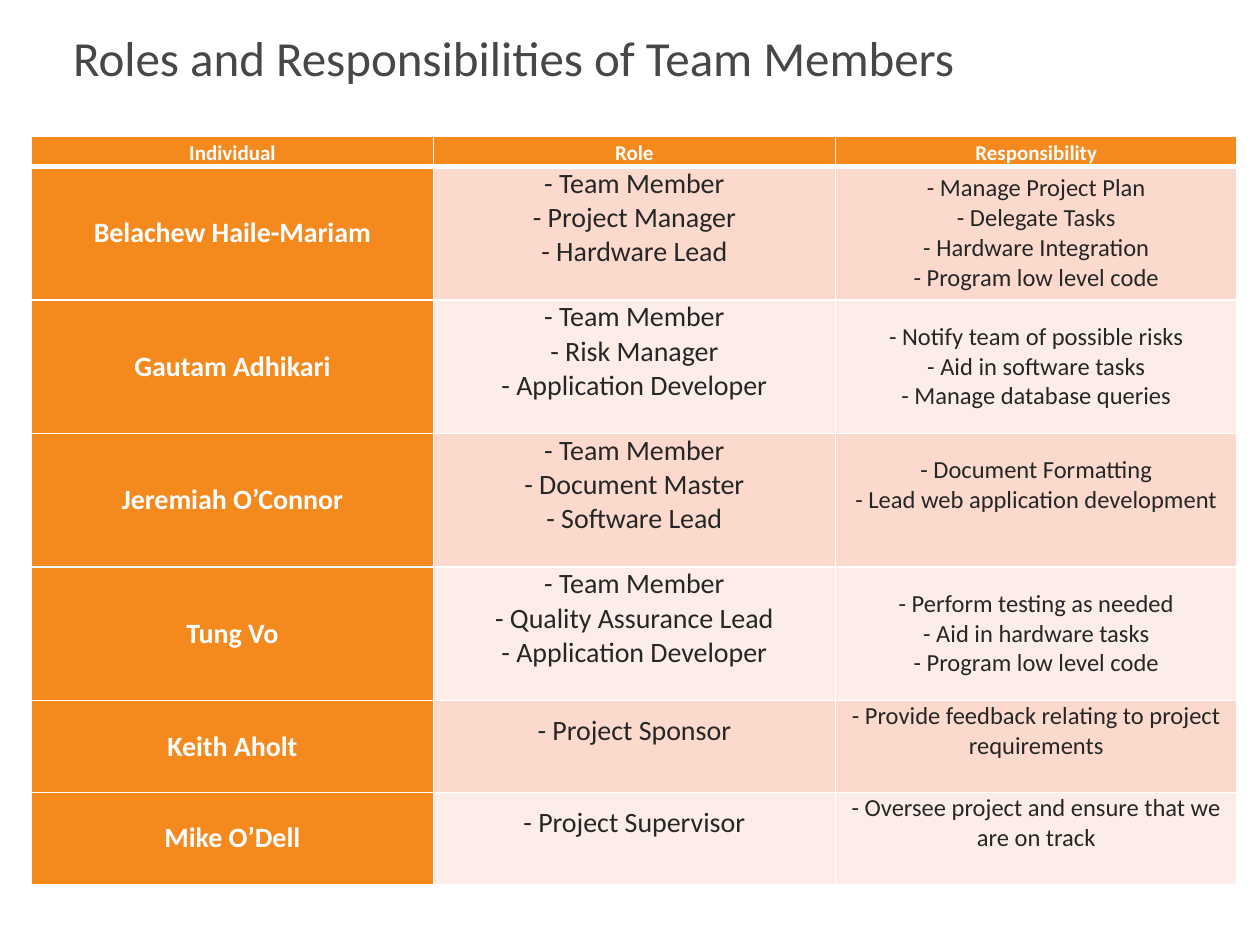
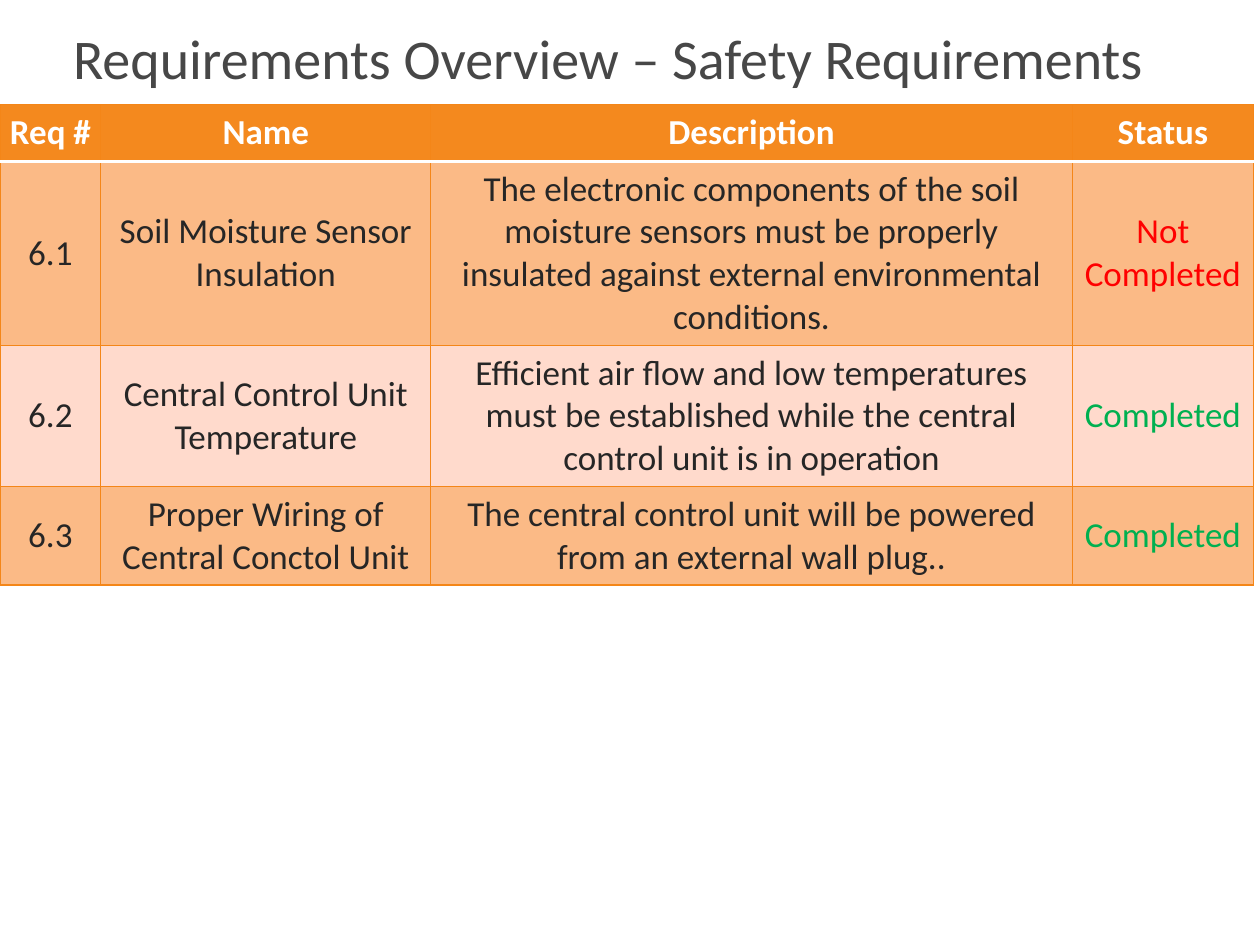
from lxml import etree
from pptx import Presentation
from pptx.dml.color import RGBColor
from pptx.enum.text import MSO_ANCHOR as Anchor, MSO_AUTO_SIZE as AutoSize, PP_ALIGN as Align
from pptx.oxml.ns import qn
from pptx.util import Inches, Pt

FONT = "Calibri"
WHITE = RGBColor(0xFF, 0xFF, 0xFF)
TITLE_GRAY = RGBColor(0x47, 0x47, 0x47)
INK = RGBColor(0x26, 0x26, 0x26)
ORANGE = RGBColor(0xF4, 0x89, 0x1E)
GRID_ORANGE = RGBColor(0xF4, 0x86, 0x18)
PEACH = RGBColor(0xFB, 0xDA, 0xCD)
PALE_PEACH = RGBColor(0xFD, 0xED, 0xE8)
APRICOT = RGBColor(0xFB, 0xBA, 0x86)
ROSE = RGBColor(0xFF, 0xDA, 0xCC)
RED = RGBColor(0xFF, 0x00, 0x00)
GREEN = RGBColor(0x00, 0xB0, 0x50)

ROLES_TITLE = "Roles and Responsibilities of Team Members"
ROLES_HEADER = ("Individual", "Role", "Responsibility")
MEMBERS = [
    ("Belachew Haile-Mariam",
     ["- Team Member", "- Project Manager", "- Hardware Lead"],
     ["- Manage Project Plan", "- Delegate Tasks", "- Hardware Integration",
      "- Program low level code"]),
    ("Gautam Adhikari",
     ["- Team Member", "- Risk Manager", "- Application Developer"],
     ["- Notify team of possible risks", "- Aid in software tasks",
      "- Manage database queries"]),
    ("Jeremiah O’Connor",
     ["- Team Member", "- Document Master", "- Software Lead"],
     ["- Document Formatting", "- Lead web application development"]),
    ("Tung Vo",
     ["- Team Member", "- Quality Assurance Lead", "- Application Developer"],
     ["- Perform testing as needed", "- Aid in hardware tasks",
      "- Program low level code"]),
    ("Keith Aholt",
     ["- Project Sponsor"],
     ["- Provide feedback relating to project requirements"]),
    ("Mike O’Dell",
     ["- Project Supervisor"],
     ["- Oversee project and ensure that we are on track"]),
]
RAISED_DUTIES = {"Jeremiah O’Connor", "Keith Aholt", "Mike O’Dell"}
RAISE = 0.24

SAFETY_TITLE = "Requirements Overview – Safety Requirements"
SAFETY_HEADER = ("Req #", "Name", "Description", "Status")
REQUIREMENTS = [
    ("6.1", "Soil Moisture Sensor Insulation",
     "The electronic components of the soil moisture sensors must be properly "
     "insulated against external environmental conditions.", "Not Completed"),
    ("6.2", "Central Control Unit Temperature",
     "Efficient air flow and low temperatures must be established while the "
     "central control unit is in operation", "Completed"),
    ("6.3", "Proper Wiring of Central Conctol Unit",
     "The central control unit will be powered from an external wall plug..",
     "Completed"),
]
STATUS_COLORS = {"Not Completed": RED, "Completed": GREEN}

TIGHT = (0.07, 0)
ROOMY = (0.1, 0.05)


def add_titled_slide(prs, title, size):
    slide = prs.slides.add_slide(prs.slide_layouts[5])
    heading = slide.shapes.title
    heading.left, heading.top = Inches(0.48), Inches(0.08)
    heading.width, heading.height = Inches(9.19), Inches(0.75)
    frame = heading.text_frame
    frame.auto_size = AutoSize.NONE
    frame.word_wrap = True
    frame.vertical_anchor = Anchor.MIDDLE
    frame.paragraphs[0].alignment = Align.LEFT
    add_run(frame.paragraphs[0], title, size, TITLE_GRAY)
    return slide


def add_run(paragraph, text, size, color, bold=False):
    run = paragraph.add_run()
    run.text = text
    font = run.font
    font.name, font.size, font.bold = FONT, Pt(size), bold
    font.color.rgb = color


def add_grid(slide, left, top, widths, heights, line, header_rule):
    grid = slide.shapes.add_table(
        len(heights), len(widths), Inches(left), Inches(top),
        Inches(sum(widths)), Inches(sum(heights))).table
    for column, width in zip(grid.columns, widths):
        column.width = Inches(width)
    for row, height in zip(grid.rows, heights):
        row.height = Inches(height)
    for r in range(len(heights)):
        for c in range(len(widths)):
            sides = dict.fromkeys(("lnL", "lnR", "lnT", "lnB"), line)
            if r < 2:
                sides["lnT" if r else "lnB"] = header_rule
            draw_borders(grid.cell(r, c), sides)
    return grid


def draw_borders(cell, sides):
    props = cell._tc.get_or_add_tcPr()
    for side, (color, width) in sides.items():
        border = etree.SubElement(props, qn(f"a:{side}"), w=str(Pt(width)))
        paint = etree.SubElement(border, qn("a:solidFill"))
        etree.SubElement(paint, qn("a:srgbClr"), val=str(color))


def fill_cell(cell, lines, size, color, fill, bold=False, inset=TIGHT, raise_by=0, spacing=None):
    cell.fill.solid()
    cell.fill.fore_color.rgb = fill
    cell.vertical_anchor = Anchor.MIDDLE
    side, edge = inset
    cell.margin_left = cell.margin_right = Inches(side)
    cell.margin_top, cell.margin_bottom = Inches(edge), Inches(edge + raise_by)
    paragraph = cell.text_frame.paragraphs[0]
    paragraph.alignment = Align.CENTER
    if spacing:
        paragraph.line_spacing = spacing
    for i, text in enumerate(lines):
        if i:
            paragraph.add_line_break()
        add_run(paragraph, text, size, color, bold)


def build_roles(prs):
    slide = add_titled_slide(prs, ROLES_TITLE, 28)
    heights = [0.24] + [1.06 if len(roles) > 1 else 0.73 for _, roles, _ in MEMBERS]
    grid = add_grid(slide, 0.25, 1.08, [3.19] * 3, heights, (WHITE, 1), (WHITE, 3))
    for c, label in enumerate(ROLES_HEADER):
        fill_cell(grid.cell(0, c), [label], 12, WHITE, ORANGE, bold=True, spacing=1.15)
    for r, (member, roles, duties) in enumerate(MEMBERS, 1):
        band = PEACH if r % 2 else PALE_PEACH
        fill_cell(grid.cell(r, 0), [member], 16, WHITE, ORANGE, bold=True)
        fill_cell(grid.cell(r, 1), roles, 16, INK, band, raise_by=RAISE)
        fill_cell(grid.cell(r, 2), duties, 14, INK, band,
                  raise_by=RAISE if member in RAISED_DUTIES else 0)


def build_safety(prs):
    slide = add_titled_slide(prs, SAFETY_TITLE, 32)
    grid = add_grid(slide, 0, 0.83, [0.8, 2.62, 5.09, 1.44], [0.45, 1.46, 1.12, 0.78],
                    (GRID_ORANGE, 0.75), (WHITE, 2))
    for r, requirement in enumerate([SAFETY_HEADER] + REQUIREMENTS):
        band = (APRICOT if r % 2 else ROSE) if r else ORANGE
        for c, text in enumerate(requirement):
            color = STATUS_COLORS.get(text, INK) if r else WHITE
            fill_cell(grid.cell(r, c), [text], 20, color, band, bold=r == 0,
                      inset=TIGHT if c < 2 else ROOMY)


def main():
    prs = Presentation()
    prs.slide_width, prs.slide_height = Inches(10), Inches(7.5)
    build_roles(prs)
    build_safety(prs)
    prs.save("out.pptx")


if __name__ == "__main__":
    main()
